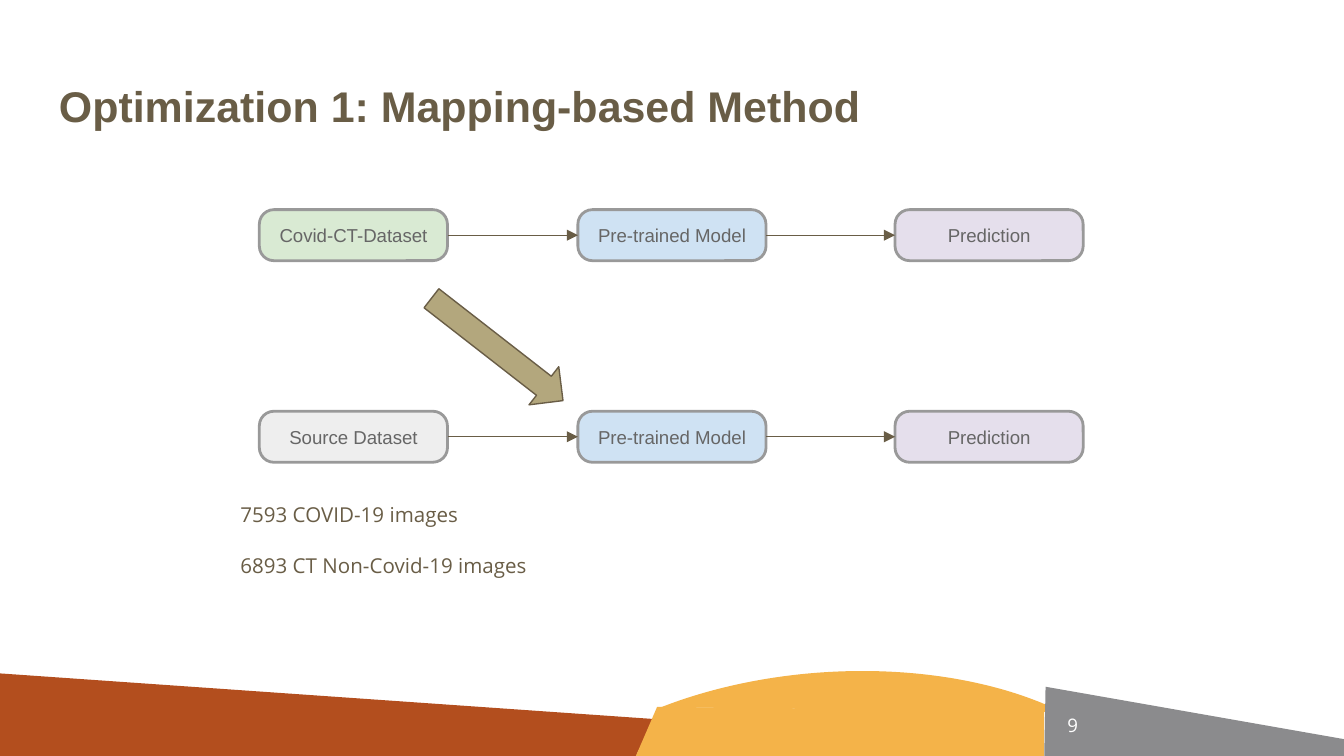
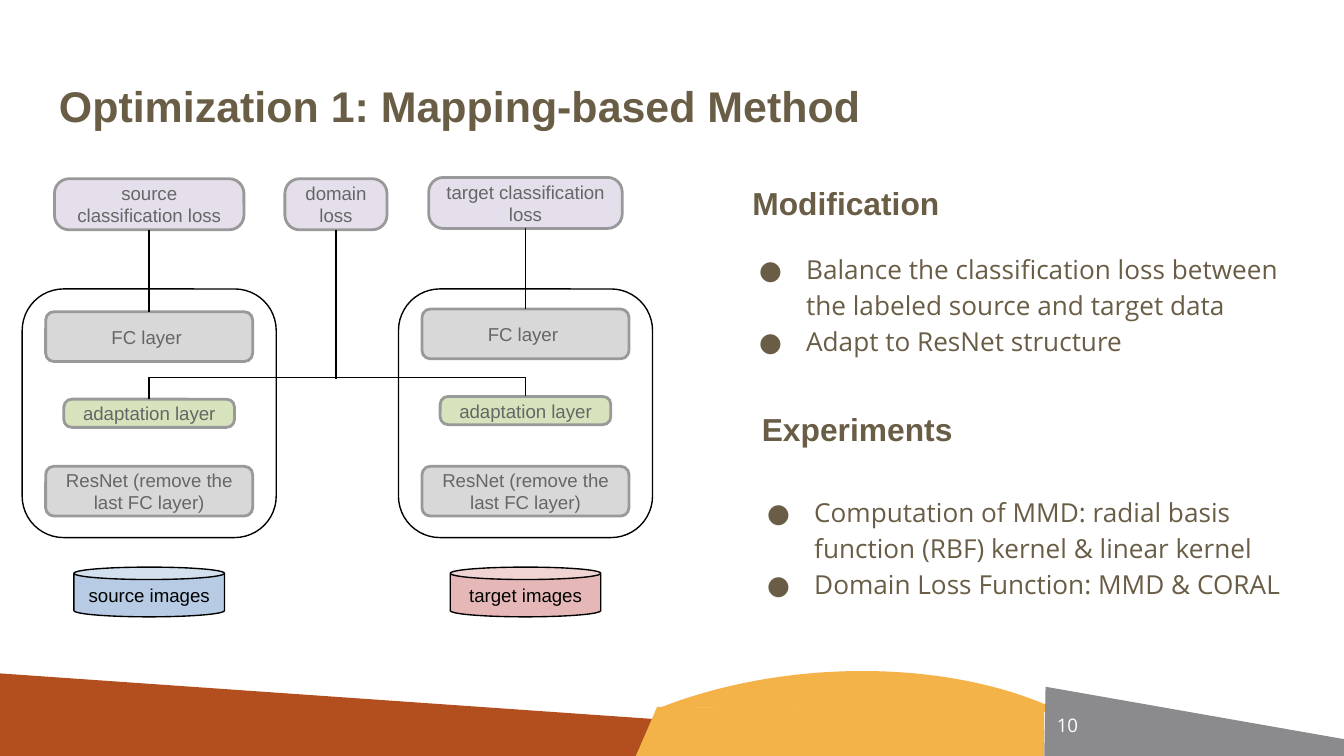
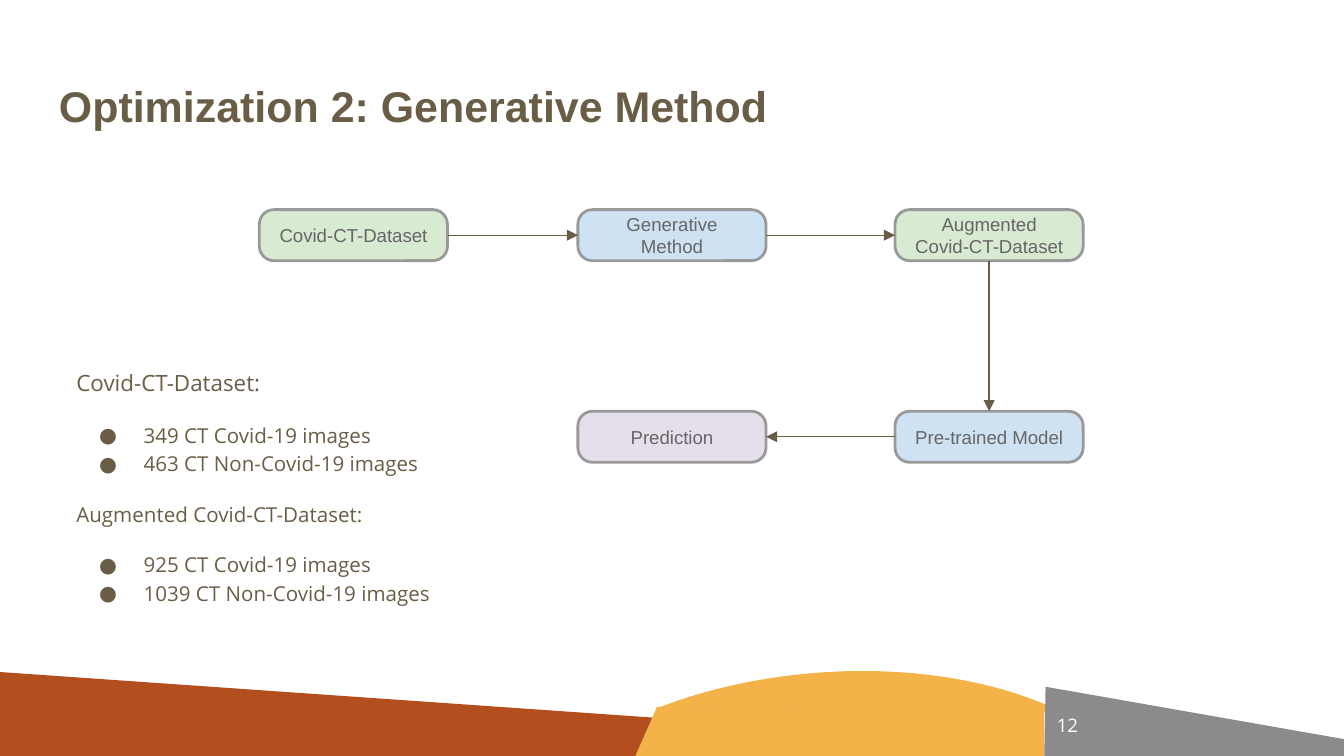
from lxml.etree import SubElement
from pptx import Presentation
from pptx.dml.color import RGBColor
from pptx.enum.shapes import MSO_CONNECTOR, MSO_SHAPE
from pptx.enum.text import MSO_ANCHOR, PP_ALIGN
from pptx.oxml.ns import qn
from pptx.util import Inches, Pt

BROWN, GREY, BLACK, WHITE = "695D46", "666666", "000000", "FFFFFF"
GREEN, BLUE, LILAC, PALE = "D9EAD3", "CFE2F3", "E5DFEC", "EEEEEE"
LAYER, ADAPT, EDGE = "D8D8D8", "D6E3BC", "999999"
RUST, AMBER, STEEL = "B34E1E", "F4B349", "8B8B8D"
ROUND, CAN = MSO_SHAPE.ROUNDED_RECTANGLE, MSO_SHAPE.CAN
TOP, LEFT, BOTTOM, RIGHT = range(4)


def paint(sp, fill=None, line=None, width=0.75):
    sp.shadow.inherit = False
    if fill:
        sp.fill.solid()
        sp.fill.fore_color.rgb = RGBColor.from_string(fill)
    else:
        sp.fill.background()
    if line:
        sp.line.color.rgb = RGBColor.from_string(line)
        sp.line.width = Pt(width)
    else:
        sp.line.fill.background()


def write(sp, lines, color=BROWN, font="Arial", bold=False, align=PP_ALIGN.LEFT,
          anchor=MSO_ANCHOR.TOP, spacing=None, margin_y=0.1):
    """Fill a shape with lines given as (text, size, space before, bullet hang)."""
    tf = sp.text_frame
    tf.word_wrap = True
    tf.vertical_anchor = anchor
    tf.margin_left = tf.margin_right = Inches(0.1)
    tf.margin_top = tf.margin_bottom = Inches(margin_y)
    tf.text = "\n".join(line[0] for line in lines)
    for p, (_, size, before, hang) in zip(tf.paragraphs, lines):
        p.alignment = align
        if spacing:
            p.line_spacing = spacing
        p.space_before = Pt(before)
        r = p.runs[0]
        r.font.name, r.font.size, r.font.bold = font, Pt(size), bold
        r.font.color.rgb = RGBColor.from_string(color)
        if hang:
            pPr = p._p.get_or_add_pPr()
            pPr.set("marL", str(Inches(0.5)))
            pPr.set("indent", str(-Inches(hang)))
            SubElement(SubElement(pPr, qn("a:buClr")), qn("a:srgbClr")).set("val", color)
            SubElement(pPr, qn("a:buFont")).set("typeface", font)
            SubElement(pPr, qn("a:buChar")).set("char", "●")


# Footer bands: one chord (left, top, width, height, adjustments) and its polygons
footer = [
    ((3.78, 5, 4.84, 2.64), (26.17, 91.8), [
        (RUST, [(-0.01, 5.01), (-0.01, 5.63), (4.73, 5.63), (4.86, 5.35)]),
        (AMBER, [(4.89, 5.26), (7.77, 5.29), (7.77, 5.63), (4.73, 5.63)]),
        (STEEL, [(7.78, 5.11), (7.77, 5.63), (10, 5.63), (10, 5.5)])])]
overlay = [
    ((3.77, 5.01, 4.76, 2.64), (27, 90.81), [
        (RUST, [(-0.01, 5), (-0.02, 5.62), (4.73, 5.63), (4.86, 5.34)]),
        (AMBER, [(4.89, 5.26), (7.77, 5.29), (7.77, 5.62), (4.73, 5.62)])])]

# Flow steps stand on a grid: name -> (column, row, fill, text)
col_x, row_y = (1.93, 4.3, 6.66), (1.56, 3.06)
mapping_steps = {
    "covid": (0, 0, GREEN, "Covid-CT-Dataset"),
    "covid model": (1, 0, BLUE, "Pre-trained Model"),
    "covid result": (2, 0, LILAC, "Prediction"),
    "source": (0, 1, PALE, "Source Dataset"),
    "source model": (1, 1, BLUE, "Pre-trained Model"),
    "source result": (2, 1, LILAC, "Prediction")}
generative_steps = {
    "covid": (0, 0, GREEN, "Covid-CT-Dataset"),
    "generator": (1, 0, BLUE, "Generative Method"),
    "augmented": (2, 0, GREEN, "Augmented Covid-CT-Dataset"),
    "result": (1, 1, LILAC, "Prediction"),
    "model": (2, 1, BLUE, "Pre-trained Model")}
mapping_boxes, generative_boxes = (
    {name: (ROUND, col_x[c], row_y[r], 1.4, 0.38, 0.285, fill, EDGE, GREY, text)
     for name, (c, r, fill, text) in steps.items()}
    for steps in (mapping_steps, generative_steps))

# The two network branches have the same parts around their centre lines
network_boxes = {
    "domain": (ROUND, 2.12, 1.33, 0.76, 0.38, 0.285, LILAC, EDGE, GREY, "domain loss")}
for side, mid, rise, loss_y, loss_w, tint in (
        ("source", 1.11, 0, 1.33, 1.41, "B7CCE4"),
        ("target", 3.91, 0.02, 1.32, 1.44, "E5B8B7")):
    for part, shape, y, w, h, adj, fill, line, color, text in (
            ("images", CAN, 4.22, 1.12, 0.37, 0.25, tint, BLACK, BLACK, f"{side} images"),
            ("resnet", ROUND, 3.47, 1.54, 0.37, 0.167, LAYER, EDGE, GREY,
             "ResNet (remove the last FC layer)"),
            ("adaptation", ROUND, 2.97 - rise, 1.27, 0.21, 0.285, ADAPT, EDGE, GREY,
             "adaptation layer"),
            ("fc", ROUND, 2.32 - rise, 1.54, 0.37, 0.167, LAYER, EDGE, GREY, "FC layer "),
            ("loss", ROUND, loss_y, loss_w, 0.38, 0.285, LILAC, EDGE, GREY,
             f"{side} classification loss"),
            ("network", ROUND, 2.15, 1.89, 1.85, 0.167, None, BLACK, None, "")):
        network_boxes[f"{side} {part}"] = (
            shape, mid - w / 2, y, w, h, adj, fill, line, color, text)

# Links: (from box, side, to box, side)
mapping_links = [(a, RIGHT, b, LEFT) for d in ("covid", "source")
                 for a, b in ((d, f"{d} model"), (f"{d} model", f"{d} result"))]
network_links = [(f"{d} loss", BOTTOM, f"{d} fc", TOP) for d in ("source", "target")]
generative_links = [
    ("covid", RIGHT, "generator", LEFT), ("generator", RIGHT, "augmented", LEFT),
    ("augmented", BOTTOM, "model", TOP), ("model", LEFT, "result", RIGHT)]

# Texts: (left, top, width, height, is heading, lines)
mapping_texts = [(1.69, 3.61, 3.14, 0.57, False, [
    ("7593 COVID-19 images", 11, 0, 0), ("6893 CT Non-Covid-19 images", 11, 12, 0)])]
network_texts = [
    (5.5, 1.27, 4.5, 0.77, True, [("Modification", 17, 0, 0)]),
    (5.4, 1.75, 4.5, 1.27, False, [
        ("Balance the classification loss between the labeled source and target data",
         14, 0, 0.35),
        ("Adapt to ResNet structure", 14, 0, 0.35)]),
    (5.57, 2.95, 4.5, 0.77, True, [("Experiments", 17, 0, 0)]),
    (5.46, 3.56, 4.5, 1.27, False, [
        ("Computation of MMD: radial basis function (RBF) kernel & linear kernel",
         14, 0, 0.35),
        ("Domain Loss Function: MMD & CORAL", 14, 0, 0.35)])]
generative_texts = [(0.47, 2.62, 3.14, 1.95, False, [
    ("Covid-CT-Dataset:", 12, 0, 0),
    ("349 CT Covid-19 images", 11, 12, 0.33),
    ("463 CT Non-Covid-19 images", 11, 0, 0.33),
    ("Augmented Covid-CT-Dataset:", 11, 12, 0),
    ("925 CT Covid-19 images", 11, 12, 0.33),
    ("1039 CT Non-Covid-19 images", 11, 0, 0.33)])]

prs = Presentation()
prs.slide_width, prs.slide_height = Inches(10), Inches(10 * 9 / 16)

for number, title, bands, boxes, links, texts in (
        ("9", "Optimization 1: Mapping-based Method", footer,
         mapping_boxes, mapping_links, mapping_texts),
        ("10", "Optimization 1: Mapping-based Method", footer,
         network_boxes, network_links, network_texts),
        ("12", "Optimization 2: Generative Method", footer + overlay,
         generative_boxes, generative_links, generative_texts)):
    s = prs.slides.add_slide(prs.slide_layouts[6])

    for place, angles, polygons in bands:
        chord = s.shapes.add_shape(MSO_SHAPE.CHORD, *map(Inches, place))
        chord.rotation = 176
        chord.adjustments[0], chord.adjustments[1] = angles
        paint(chord, AMBER)
        for fill, points in polygons:
            start, *rest = [(Inches(x), Inches(y)) for x, y in points]
            outline = s.shapes.build_freeform(*start)
            outline.add_line_segments(rest)
            paint(outline.convert_to_shape(), fill)

    heading = s.shapes.add_textbox(*map(Inches, (0.34, 0.49, 9.32, 0.43)))
    write(heading, [(title, 23, 0, 0)], bold=True)
    page = s.shapes.add_textbox(*map(Inches, (7.52, 5.18, 0.6, 0.43)))
    write(page, [(number, 10, 0, 0)], WHITE, "Open Sans", align=PP_ALIGN.RIGHT,
          anchor=MSO_ANCHOR.MIDDLE)

    placed = {}
    for name, (shape, x, y, w, h, adj, fill, line, color, text) in boxes.items():
        sp = placed[name] = s.shapes.add_shape(shape, *map(Inches, (x, y, w, h)))
        sp.adjustments[0] = adj
        paint(sp, fill, line, 1.5 if line == EDGE else 0.75)
        if text:
            write(sp, [(text, 10, 0, 0)], color, align=PP_ALIGN.CENTER,
                  anchor=MSO_ANCHOR.MIDDLE, margin_y=0.05 if shape == CAN else 0.1)

    connectors = []
    for begin, begin_side, end, end_side in links:
        c = s.shapes.add_connector(MSO_CONNECTOR.STRAIGHT, 0, 0, 0, 0)
        c.begin_connect(placed[begin], begin_side)
        c.end_connect(placed[end], end_side)
        connectors.append(c)

    if boxes is network_boxes:
        # The bus joins both adaptation layers, bending above them
        bus = s.shapes.add_connector(
            MSO_CONNECTOR.ELBOW, *map(Inches, (2.5, 1.56, 2.52, 4.36)))
        bus.element.spPr.find(qn("a:xfrm")).set("rot", str(270 * 60000))
        guide = SubElement(bus.element.spPr.find(qn("a:prstGeom")).find(qn("a:avLst")),
                           qn("a:gd"))
        guide.set("name", "adj1")
        guide.set("fmla", "val 800000")
        drop = s.shapes.add_connector(
            MSO_CONNECTOR.STRAIGHT, *map(Inches, (2.5, 2.82, 2.5, 1.71)))
        drop.end_connect(placed["domain"], BOTTOM)
        connectors += [bus, drop]

    for c in connectors:
        c.line.color.rgb = RGBColor.from_string(BLACK if boxes is network_boxes else BROWN)
        c.line.width = Pt(0.75)
        if boxes is not network_boxes:
            SubElement(c.element.spPr.find(qn("a:ln")), qn("a:tailEnd")).set(
                "type", "triangle")
        SubElement(c.element.spPr, qn("a:effectLst"))

    for x, y, w, h, is_heading, lines in texts:
        sp = s.shapes.add_textbox(*map(Inches, (x, y, w, h)))
        if is_heading:
            write(sp, lines, bold=True)
        else:
            write(sp, lines, font="Open Sans", spacing=1.15)

    if boxes is mapping_boxes:
        transfer = s.shapes.add_shape(
            MSO_SHAPE.DOWN_ARROW, *map(Inches, (3.52, 1.98, 0.36, 1.24)))
        transfer.rotation = 307.9
        paint(transfer, "B3A77D", BROWN)

prs.save("out.pptx")
